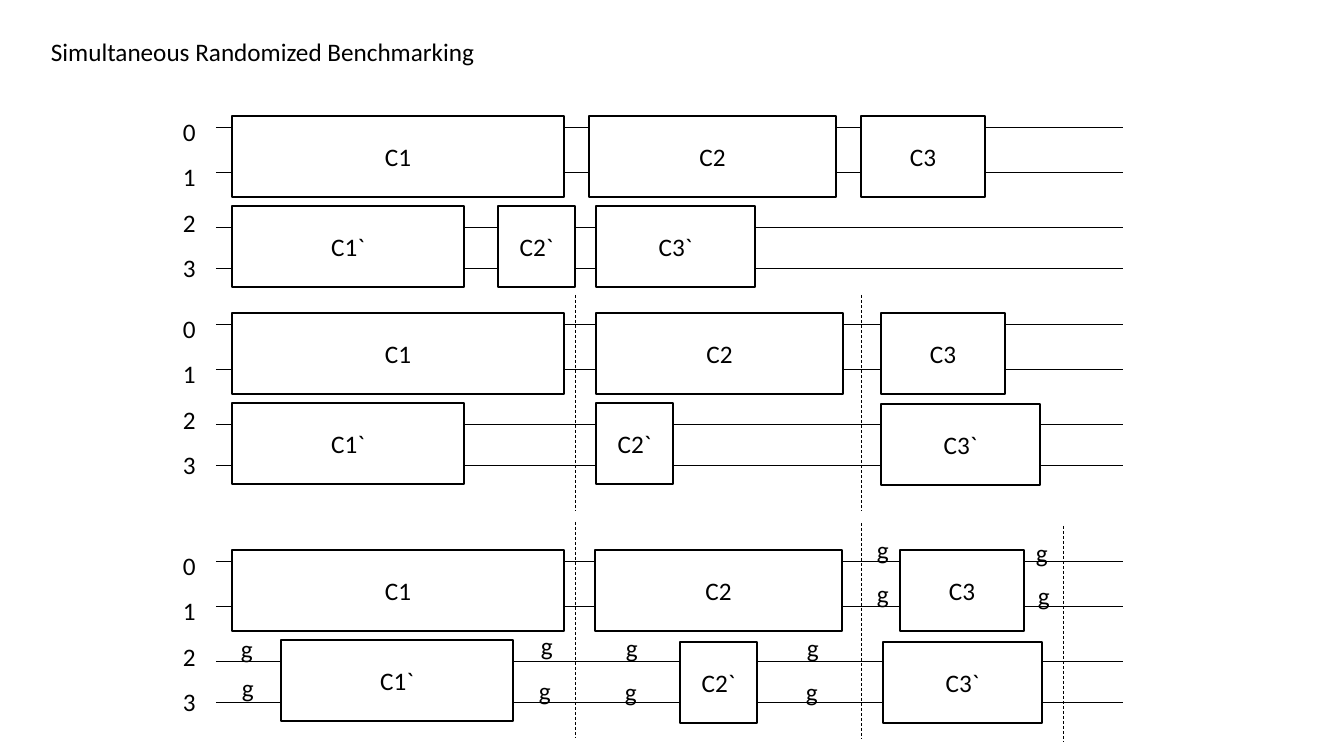
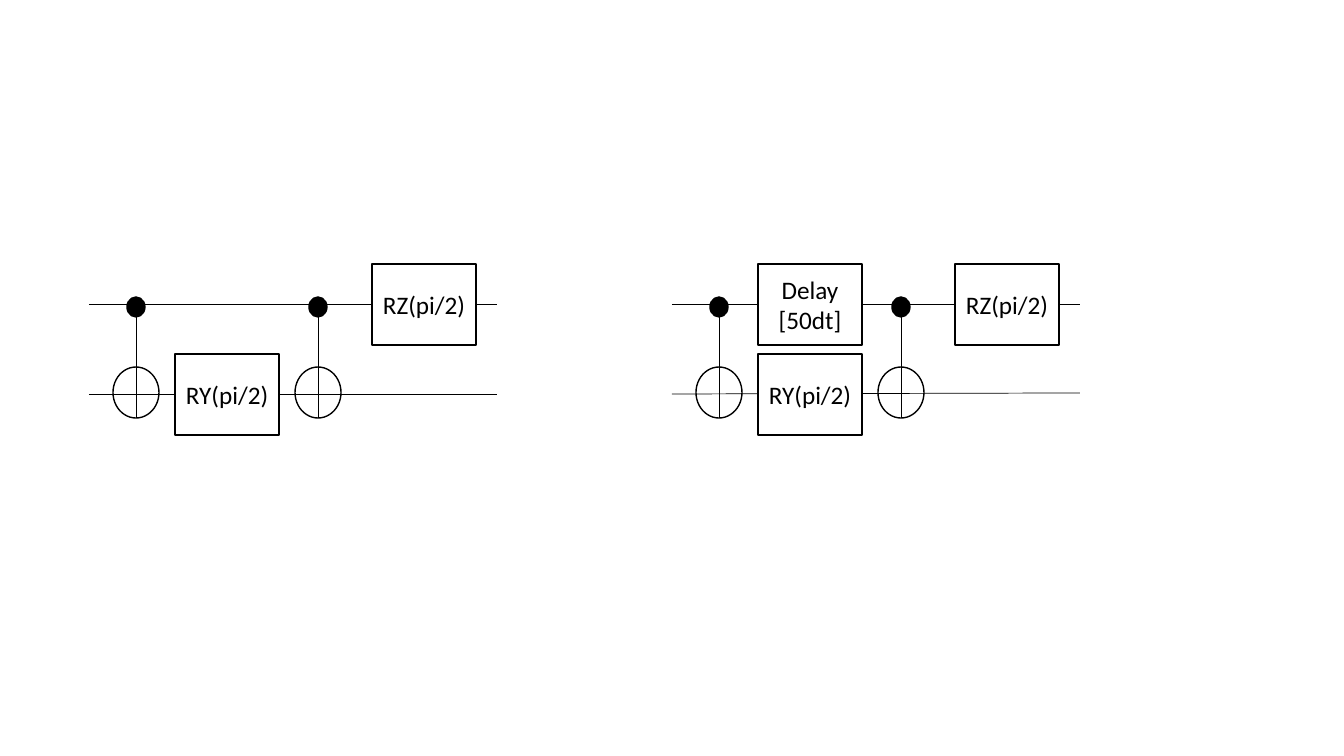
from pptx import Presentation
from pptx.dml.color import RGBColor
from pptx.enum.dml import MSO_LINE
from pptx.enum.shapes import MSO_CONNECTOR, MSO_SHAPE
from pptx.enum.text import MSO_ANCHOR, MSO_AUTO_SIZE, PP_ALIGN
from pptx.oxml.ns import qn
from pptx.util import Emu, Pt
from lxml.etree import SubElement

BLACK = RGBColor(0, 0, 0)
WHITE = RGBColor(255, 255, 255)
FONT = "Calibri"
TEXT_SIZE = Pt(18)
THIN, MEDIUM = Pt(0.5), Pt(1)
EMU_PER_PIXEL = 914400 / 100.8
BOX_HEIGHT = 81


def px(pixels):
    """Turn pixels into EMU."""
    return Emu(round(pixels * EMU_PER_PIXEL))


class Diagram:
    """Holds the presentation, the current slide and the shared style."""

    def __init__(self):
        """Start a widescreen presentation."""
        self.presentation = Presentation()
        self.presentation.slide_width = px(1344)
        self.presentation.slide_height = px(756)

    def new_slide(self):
        """Add a blank slide and draw on it."""
        layout = self.presentation.slide_layouts[6]
        self.slide = self.presentation.slides.add_slide(layout)
        self.shapes = self.slide.shapes

    def new_group(self):
        """Draw the next elements inside a new group."""
        self.shapes = self.slide.shapes.add_group_shape().shapes

    def leave_group(self):
        """Draw the next elements directly on the slide."""
        self.shapes = self.slide.shapes

    def add_text(self, paragraph, text):
        """Add text to a paragraph, with a line break at each newline."""
        for index, line in enumerate(text.split("\n")):
            if index:
                paragraph.add_line_break()
            run = paragraph.add_run()
            run.text = line
            run.font.name = FONT
            run.font.size = TEXT_SIZE
            run.font.color.rgb = BLACK

    def line(self, x1, y1, x2, y2, dashed=False):
        """Draw a thin straight line."""
        connector = self.shapes.add_connector(
            MSO_CONNECTOR.STRAIGHT, px(x1), px(y1), px(x2), px(y2))
        connector.line.color.rgb = BLACK
        connector.line.width = THIN
        if dashed:
            connector.line.dash_style = MSO_LINE.DASH
        SubElement(connector._element.spPr, qn("a:effectLst"))

    def outline(self, kind, left, top, width, height, fill=None):
        """Draw an outlined preset shape, hollow unless a fill is given."""
        shape = self.shapes.add_shape(
            kind, px(left), px(top), px(width), px(height))
        shape.shadow.inherit = False
        shape.line.color.rgb = BLACK
        shape.line.width = MEDIUM
        if fill is None:
            shape.fill.background()
        else:
            shape.fill.solid()
            shape.fill.fore_color.rgb = fill
        return shape

    def gate(self, text, left, top, width):
        """Draw a white gate box with centred text."""
        box = self.outline(MSO_SHAPE.RECTANGLE, left, top, width, BOX_HEIGHT, WHITE)
        frame = box.text_frame
        frame.word_wrap = True
        frame.vertical_anchor = MSO_ANCHOR.MIDDLE
        paragraph = frame.paragraphs[0]
        paragraph.alignment = PP_ALIGN.CENTER
        self.add_text(paragraph, text)

    def label(self, lines, left, top, width, height=40, spacing=None,
              anchor=MSO_ANCHOR.TOP):
        """Place unwrapped text, one paragraph a line."""
        box = self.shapes.add_textbox(px(left), px(top), px(width), px(height))
        frame = box.text_frame
        frame.word_wrap = False
        frame.auto_size = MSO_AUTO_SIZE.SHAPE_TO_FIT_TEXT
        frame.vertical_anchor = anchor
        for index, text in enumerate(lines):
            paragraph = frame.add_paragraph() if index else frame.paragraphs[0]
            if spacing:
                paragraph.line_spacing = spacing
            self.add_text(paragraph, text)

    def cnot(self, center):
        """Draw a controlled-NOT between the two wires."""
        self.outline(MSO_SHAPE.OVAL, center - 9, 297, 18, 20, BLACK)
        self.outline(MSO_SHAPE.OVAL, center - 23, 367, 46, 51)
        self.line(center, 297, center, 418)

    def schedule(self, top, gates, barriers=(), idle_marks=()):
        """Draw four qubit wires with gates, barriers and idle marks."""
        self.new_group()
        for offset in (11, 56, 111, 152):
            self.line(216, top + offset, 1123, top + offset)
        self.label("0123", 173, top - 18, 33, 188, 1.5, MSO_ANCHOR.MIDDLE)
        for name, left, offset in gates:
            self.gate(name, left, top + offset, GATE_WIDTHS[name])
        for x, offset in barriers:
            self.line(x, top + offset, x, top + offset + 216, dashed=True)
        for left, y in idle_marks:
            self.label("g", left, y, 32)

    def circuit(self, left, end_rise=0, delay=None):
        """Draw a two-qubit circuit, with an optional delay gate."""
        self.new_group()
        right = left + 408
        self.line(left, 304, right, 304)
        self.line(left, 394, right, 394 - end_rise)
        for offset in (47, 229):
            self.cnot(left + offset)
        self.gate("RY(pi/2)", left + 86, 354, 104)
        self.gate("RZ(pi/2)", left + 283, 264, 104)
        if delay:
            self.gate(delay, left + 86, 264, 104)


GATE_WIDTHS = {"C1": 332, "C2": 247, "C3": 124,
               "C1`": 232, "C2`": 77, "C3`": 159}

diagram = Diagram()

diagram.new_slide()
diagram.schedule(116, [
    ("C1", 232, 0), ("C2", 589, 0), ("C3", 861, 0),
    ("C1`", 232, 90), ("C2`", 498, 90), ("C3`", 596, 90)])
diagram.schedule(313, [
    ("C1", 232, 0), ("C2", 596, 0), ("C3", 881, 0),
    ("C1`", 232, 90), ("C2`", 596, 90), ("C3`", 881, 91)],
    barriers=[(575, -18), (861, -18)])
diagram.schedule(550, [
    ("C1", 232, 0), ("C2", 595, 0), ("C3", 900, 0),
    ("C1`", 281, 90), ("C2`", 680, 92), ("C3`", 883, 92)],
    barriers=[(575, -28), (861, -27), (1063, -24)],
    idle_marks=[(867, 529), (867, 573), (1026, 532), (1028, 575),
                (231, 628), (232, 667), (531, 625), (529, 670),
                (616, 627), (615, 671), (797, 627), (796, 671)])
diagram.leave_group()
diagram.label(["Simultaneous Randomized Benchmarking"], 41, 31, 449)

diagram.new_slide()
diagram.circuit(89)
diagram.circuit(672, end_rise=1, delay="Delay\n[50dt]")

diagram.presentation.save("out.pptx")
